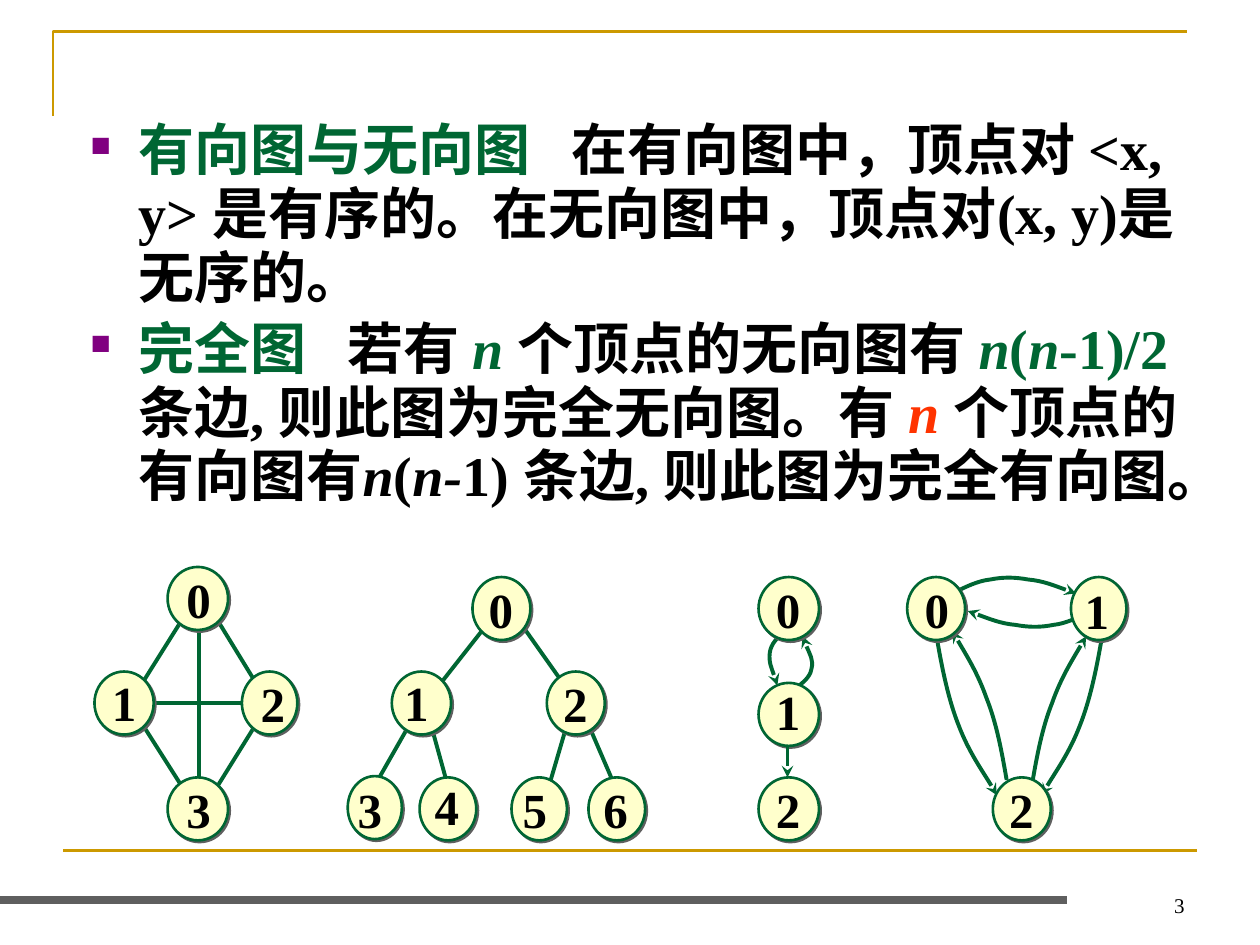
from dataclasses import dataclass

from lxml.etree import SubElement
from pptx import Presentation
from pptx.dml.color import RGBColor
from pptx.enum.lang import MSO_LANGUAGE_ID
from pptx.enum.shapes import MSO_CONNECTOR, MSO_SHAPE
from pptx.enum.text import MSO_ANCHOR, MSO_AUTO_SIZE, PP_ALIGN
from pptx.oxml.ns import qn
from pptx.util import Pt

SCALE = 9144


@dataclass(frozen=True)
class Theme:
    """Colours, font and sizes of the slide."""
    font: str = "Times New Roman"
    black: str = "000000"
    green: str = "006633"
    red: str = "FF3300"
    gold: str = "CC9900"
    grey: str = "5F5F5F"
    cream: str = "FFFFCC"
    purple: str = "800080"
    body: int = 32
    label: int = 28
    number: int = 12
    edge: float = 2.25
    rule: float = 1.5
    bar: float = 4.5


T = Theme()

GAP = (" ", T.black, False, 16)
DEFINITIONS = [
    [("有向图与无向图", T.green), GAP,
     ("在有向图中，顶点对 <x, y> 是有序的。在无向图中，顶点对(x, y)是无序的。", T.black)],
    [("完全图", T.green), GAP, ("若有 ", T.black), ("n ", T.green, True),
     ("个顶点的无向图有 ", T.black), ("n", T.green, True), ("(", T.green),
     ("n", T.green, True), ("-1)/2 ", T.green),
     ("条边, 则此图为完全无向图。有 ", T.black), ("n ", T.red, True),
     ("个顶点的有向图有", T.black), ("n", T.black, True), ("(", T.black),
     ("n-", T.black, True), ("1) 条边, 则此图为完全有向图。", T.black)],
]

EDGES = [
    (417, 500, 458, 558), (450, 575, 433, 633), (467, 575, 492, 633),
    (383, 500, 350, 542), (342, 575, 358, 633), (325, 575, 292, 633),
    (108, 567, 150, 633), (167, 483, 208, 550), (208, 567, 167, 633),
    (150, 483, 108, 550), (117, 558, 208, 558), (158, 492, 158, 642),
]

DOWN_LOOP = [(623, 501), (617, 506), (612, 511), (611, 518),
             (610, 526), (616, 540), (617, 544)]
UP_LOOP = [(629, 548), (636, 543), (643, 538), (644, 531),
           (646, 524), (638, 509), (637, 505)]
TOP_ARC = [(756, 471), (766, 466), (776, 461), (786, 460), (796, 458),
           (805, 458), (816, 460), (828, 461), (848, 469), (854, 471)]
LEFT_DOWN = [(744, 509), (748, 532), (753, 556), (761, 576),
             (769, 597), (786, 621), (791, 631)]
LEFT_UP = [(799, 619), (795, 596), (791, 574), (783, 554),
           (776, 534), (761, 510), (756, 501)]

# label, oval left, top, width, label left, top
NODES = [
    ("0", 133, 450, 48, 138, 447), ("1", 75, 533, 47, 79, 529),
    ("2", 192, 533, 44, 197, 530), ("3", 133, 617, 48, 138, 614),
    ("0", 375, 458, 46, 378, 455), ("1", 311, 533, 47, 311, 529),
    ("2", 434, 533, 46, 437, 530), ("3", 276, 616, 43, 274, 614),
    ("4", 333, 617, 45, 335, 611), ("5", 406, 617, 44, 405, 614),
    ("6", 467, 617, 45, 469, 614),
    ("0", 602, 458, 48, 606, 455), ("1", 602, 542, 48, 606, 536),
    ("2", 602, 617, 48, 606, 614),
    ("0", 720, 458, 46, 724, 455), ("1", 850, 458, 44, 851, 456),
    ("2", 788, 617, 46, 791, 614),
]


def px(*values):
    """Turn px lengths into EMU."""
    return [v * SCALE for v in values]


def rgb(value):
    """Make a colour from hex digits."""
    return RGBColor.from_string(value)


def flip(points, x_sum, y_shift, y_sign=1):
    """Mirror points left to right and, with y_sign -1, top to bottom."""
    return [(x_sum - x, y_shift + y_sign * y) for x, y in points]


def add_text(p, text, color=T.black, italic=False, spacing=0, size=T.body, bold=True):
    """Add a formatted run to a paragraph."""
    r = p.add_run()
    r.text = text
    f = r.font
    f.name, f.size, f.bold, f.italic = T.font, Pt(size), bold, italic
    f.color.rgb = rgb(color)
    f.language_id = MSO_LANGUAGE_ID.SIMPLIFIED_CHINESE
    if spacing:
        r._r.get_or_add_rPr().set("spc", str(spacing * 100))


def add_box(s, x, y, w, h, wrap=True):
    """Add a text box and return its text frame."""
    tf = s.shapes.add_textbox(*px(x, y, w, h)).text_frame
    tf.word_wrap = wrap
    return tf


def style_line(sp, color, width, arrow=False):
    """Set a line's colour, width and arrowhead."""
    sp.line.color.rgb, sp.line.width = rgb(color), Pt(width)
    if arrow:
        SubElement(sp.line._get_or_add_ln(), qn("a:tailEnd"), type="stealth")


def add_line(s, ends, color=T.green, width=T.edge, arrow=False):
    """Add a straight line."""
    sp = s.shapes.add_connector(MSO_CONNECTOR.STRAIGHT, *px(*ends))
    style_line(sp, color, width, arrow)
    SubElement(sp._element.spPr, qn("a:effectLst"))


def add_path(s, points, color=T.green, width=T.edge, arrow=False):
    """Add an open unfilled outline."""
    builder = s.shapes.build_freeform(*px(*points[0]))
    builder.add_line_segments([px(*pt) for pt in points[1:]], close=False)
    sp = builder.convert_to_shape()
    sp.shadow.inherit = False
    sp.fill.background()
    style_line(sp, color, width, arrow)
    return sp


def add_curve(s, points):
    """Add an arrow whose points are joined as cubic Bezier segments."""
    sp = add_path(s, points, arrow=True)
    path = sp._element.spPr.find(".//" + qn("a:path"))
    segments = path.findall(qn("a:lnTo"))
    for i in range(0, len(segments), 3):
        curve = SubElement(path, qn("a:cubicBezTo"))
        for segment in segments[i:i + 3]:
            curve.append(segment[0])
            path.remove(segment)


def add_node(s, label, x, y, w, label_x, label_y):
    """Add a shadowed oval with its number."""
    sp = s.shapes.add_shape(MSO_SHAPE.OVAL, *px(x, y, w, 50))
    sp.shadow.inherit = False
    sp.fill.solid()
    sp.fill.fore_color.rgb = rgb(T.cream)
    style_line(sp, T.green, T.rule)
    effects = sp._element.spPr.find(qn("a:effectLst"))
    shadow = SubElement(effects, qn("a:outerShdw"), dist="17780", dir="2700000")
    SubElement(shadow, qn("a:srgbClr"), val=T.grey)
    tf = add_box(s, label_x, label_y, 39, 57, wrap=False)
    tf.auto_size = MSO_AUTO_SIZE.SHAPE_TO_FIT_TEXT
    add_text(tf.paragraphs[0], label, size=T.label)


def add_bullet(p):
    """Give a paragraph a hanging square bullet."""
    pPr = p._p.get_or_add_pPr()
    indent = px(38)[0]
    pPr.set("marL", str(indent))
    pPr.set("indent", str(-indent))
    color = SubElement(pPr, qn("a:buClr"))
    SubElement(color, qn("a:srgbClr"), val=T.purple)
    SubElement(pPr, qn("a:buSzPct"), val="50000")
    SubElement(pPr, qn("a:buChar"), char="■")


def add_definitions(s):
    """Add the bulleted definitions."""
    tf = add_box(s, 62, 90, 883, 384)
    for i, runs in enumerate(DEFINITIONS):
        p = tf.add_paragraph() if i else tf.paragraphs[0]
        p.line_spacing, p.space_before = 0.95, Pt(4)
        add_bullet(p)
        for run in runs:
            add_text(p, *run)


def add_frame(s):
    """Add the rules and the page number."""
    add_path(s, [(42, 92), (42, 25), (942, 25)], T.gold, T.rule)
    add_line(s, (50, 675, 950, 675), T.gold, T.rule)
    add_line(s, (0, 714, 847, 714), T.grey, T.bar)
    tf = add_box(s, 717, 683, 233, 50)
    tf.vertical_anchor = MSO_ANCHOR.BOTTOM
    tf.paragraphs[0].alignment = PP_ALIGN.RIGHT
    add_text(tf.paragraphs[0], "3", size=T.number, bold=False)


def main():
    """Build and save the slide."""
    prs = Presentation()
    prs.slide_width, prs.slide_height = px(1000, 750)
    s = prs.slides.add_slide(prs.slide_layouts[6])
    add_frame(s)
    for points in (DOWN_LOOP, UP_LOOP, flip(TOP_ARC, 1622, 956, -1), TOP_ARC,
                   flip(LEFT_DOWN, 1618, 0), flip(LEFT_UP, 1618, 4),
                   LEFT_DOWN, LEFT_UP):
        add_curve(s, points)
    for ends in EDGES:
        add_line(s, ends)
    add_definitions(s)
    for node in NODES:
        add_node(s, *node)
    add_line(s, (625, 592, 625, 617), arrow=True)
    prs.save("out.pptx")


if __name__ == "__main__":
    main()
